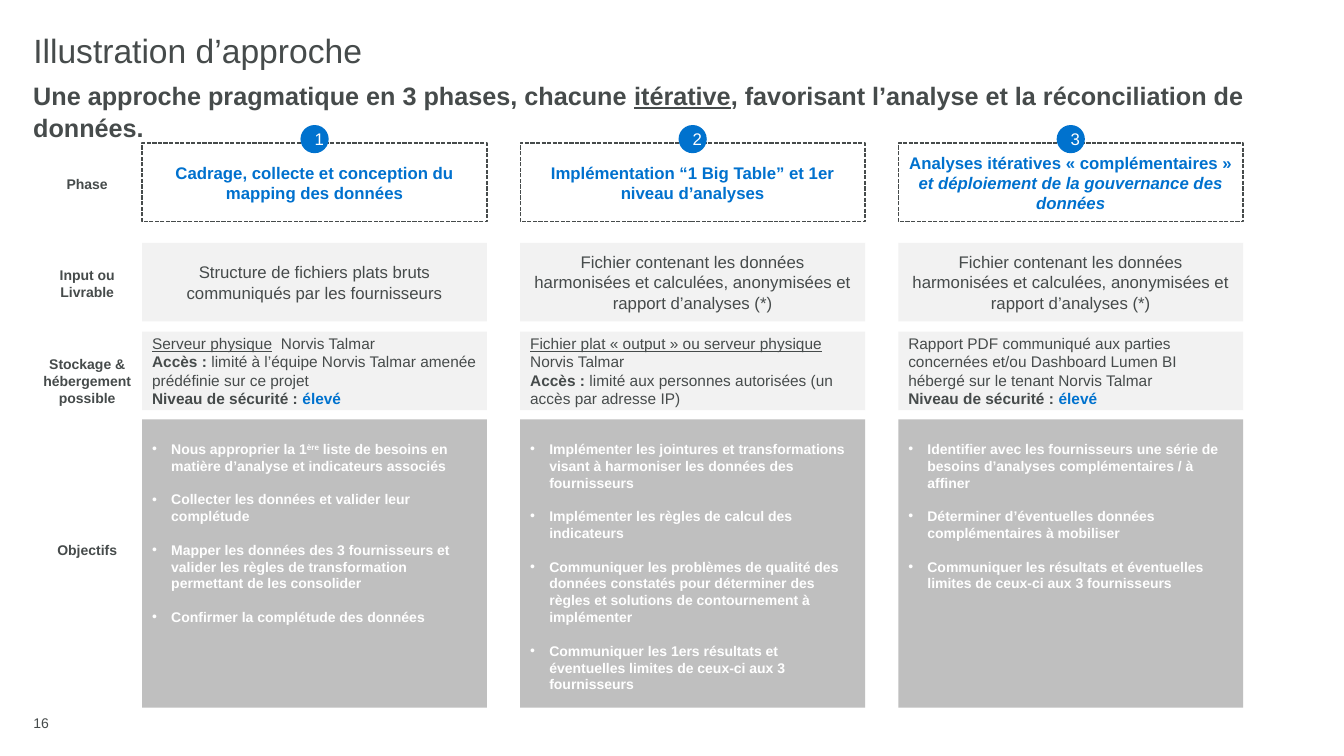
from lxml import etree
from pptx import Presentation
from pptx import util as u
from pptx.dml.color import RGBColor
from pptx.enum import dml, shapes, text
from pptx.oxml.ns import qn

COLORS = {"ink": "464B4B", "phase": "0071CE", "accent": "0072CE", "white": "FFFFFF",
          "light": "F2F2F2", "grey": "BFBFBF"}
CENTER, LEFT = text.PP_ALIGN.CENTER, text.PP_ALIGN.LEFT
TOP, MIDDLE = text.MSO_ANCHOR.TOP, text.MSO_ANCHOR.MIDDLE

COLUMN_LEFT, COLUMN_PITCH, COLUMN_WIDTH = 1.41, 3.75, 3.42
BADGE = 0.28

# Each row: label, top, height, vertical centre of the label
ROWS = {
    "phase": ("Phase", 1.42, 0.78, 1.82),
    "input": ("Input ou Livrable", 2.41, 0.78, 2.81),
    "storage": ("Stockage & hébergement possible", 3.29, 0.78, 3.78),
    "goals": ("Objectifs", 4.16, 2.86, 5.46),
}

# A paragraph is a list of (text, style); style letters:
# b bold, i italic, u underlined, a accent colour, s superscript
SHARED_INPUT = ("Fichier contenant les données harmonisées et calculées, "
                "anonymisées et rapport d’analyses (*)")
SECURITY = [("Niveau de sécurité : ", "b"), ("élevé", "ba")]
PHASES = [
    {
        "phase": [("Cadrage, collecte et conception du mapping des données", "b")],
        "input": "Structure de fichiers plats bruts communiqués par les fournisseurs",
        "storage": [
            [("Serveur physique", "u"), ("  Norvis Talmar", "")],
            [("Accès : ", "b"),
             ("limité à l’équipe Norvis Talmar amenée prédéfinie sur ce projet", "")],
            SECURITY,
        ],
        "goals": [
            [("Nous approprier la 1", "b"), ("ère", "bs"),
             (" liste de besoins en matière d’analyse et indicateurs associés", "b")],
            [("Collecter les données et valider leur complétude", "b")],
            [("Mapper les données des 3 fournisseurs et valider les règles de "
              "transformation permettant de les consolider", "b")],
            [("Confirmer la complétude des données", "b")],
        ],
    },
    {
        "phase": [("Implémentation “1 Big Table” et 1er niveau d’analyses", "b")],
        "input": SHARED_INPUT,
        "storage": [
            [("Fichier plat « output » ou serveur physique", "u"), (" Norvis Talmar", "")],
            [("Accès :", "b"),
             (" limité aux personnes autorisées (un accès par adresse IP)", "")],
        ],
        "goals": [
            [("Implémenter les jointures et transformations visant à harmoniser "
              "les données des fournisseurs", "b")],
            [("Implémenter les règles de calcul des indicateurs", "b")],
            [("Communiquer les problèmes de qualité des données constatés pour déterminer "
              "des règles et solutions de contournement à implémenter", "b")],
            [("Communiquer les 1ers résultats et éventuelles limites de ceux-ci "
              "aux 3 fournisseurs", "b")],
        ],
    },
    {
        "phase": [("Analyses itératives « complémentaires » ", "b"),
                  ("et déploiement de la gouvernance des données", "bi")],
        "input": SHARED_INPUT,
        "storage": [
            [("Rapport PDF communiqué aux parties concernées et/ou Dashboard Lumen BI "
              "hébergé sur le tenant Norvis Talmar", "")],
            SECURITY,
        ],
        "goals": [
            [("Identifier avec les fournisseurs une série de besoins d’analyses "
              "complémentaires / à affiner", "b")],
            [("Déterminer d’éventuelles données complémentaires à mobiliser", "b")],
            [("Communiquer les résultats et éventuelles limites de ceux-ci "
              "aux 3 fournisseurs", "b")],
        ],
    },
]


def rgb(name):
    return RGBColor.from_string(COLORS[name])


def write(shape, paragraphs, size, color="ink", align=LEFT, anchor=MIDDLE, inset=None):
    frame = shape.text_frame
    frame.word_wrap = True
    frame.vertical_anchor = anchor
    if inset is not None:
        frame.margin_left = frame.margin_right = u.Inches(inset)
        frame.margin_top = frame.margin_bottom = u.Inches(inset)
    for index, runs in enumerate(paragraphs):
        paragraph = frame.add_paragraph() if index else frame.paragraphs[0]
        paragraph.alignment = align
        for words, style in runs:
            run = paragraph.add_run()
            run.text = words
            font = run.font
            font.name, font.size = "Arial", u.Pt(size)
            font.bold, font.italic, font.underline = "b" in style, "i" in style, "u" in style
            font.color.rgb = rgb("accent" if "a" in style else color)
            if "s" in style:
                run._r.get_or_add_rPr().set("baseline", "30000")
    return frame


def add_box(slide, left, top, width, height, fill=None, kind=shapes.MSO_SHAPE.RECTANGLE):
    box = slide.shapes.add_shape(kind, *map(u.Inches, (left, top, width, height)))
    box.shadow.inherit = False
    if fill:
        box.fill.solid()
        box.fill.fore_color.rgb = rgb(fill)
        box.line.fill.background()
    else:
        box.fill.background()
        box.line.color.rgb = rgb("ink")
        box.line.width = u.Pt(1)
        box.line.dash_style = dml.MSO_LINE.SQUARE_DOT
    return box


def add_text(slide, left, top, width, height, *args, **options):
    box = slide.shapes.add_textbox(*map(u.Inches, (left, top, width, height)))
    return write(box, *args, **options)


def add_bullet(paragraph):
    properties = paragraph._p.get_or_add_pPr()
    properties.set("marL", str(u.Inches(0.19)))
    properties.set("indent", str(-u.Inches(0.19)))
    font = etree.SubElement(properties, qn("a:buFont"))
    font.set("typeface", "Arial")
    etree.SubElement(properties, qn("a:buChar")).set("char", "•")


def add_heading(slide, left, top):
    title = slide.shapes.title
    title.left, title.top = u.Inches(left), u.Inches(top)
    title.width, title.height = u.Inches(6.18), u.Inches(0.39)
    write(title, [[("Illustration d’approche", "")]], 24, inset=0)
    title.text_frame.paragraphs[0].line_spacing = 0.9

    message = add_text(slide, left, top + 0.45, 12.74, 0.59, [[
        ("Une approche pragmatique en 3 phases, chacune ", "b"),
        ("itérative", "bu"),
        (", favorisant l’analyse et la réconciliation de données.", "b"),
    ]], 18, anchor=TOP, inset=0)
    message.paragraphs[0].line_spacing = 1.05
    message.paragraphs[0].space_after = u.Pt(6)


def add_row_labels(slide, left, width):
    height = 0.6
    for label, _, _, middle in ROWS.values():
        add_text(slide, left, middle - height / 2, width, height,
                 [[(label, "b")]], 10, align=CENTER)


def add_phase(slide, number, phase, left, width):
    def row_box(row, fill=None):
        _, top, height, _ = ROWS[row]
        return add_box(slide, left, top, width, height, fill)

    write(row_box("phase"), [phase["phase"]], 12, "phase", CENTER)
    write(row_box("input", "light"), [[(phase["input"], "")]], 12, align=CENTER)
    write(row_box("storage", "light"), phase["storage"], 11)

    # Objectives, separated by one line of space
    goals = write(row_box("goals", "grey"), phase["goals"], 10, "white", anchor=TOP)
    goals.margin_top = u.Inches(0.21)
    for paragraph in goals.paragraphs:
        paragraph.space_after = u.Pt(12)
        add_bullet(paragraph)

    # Number badge on the top edge
    badge = add_box(slide, left + (width - BADGE) / 2, 1.24, BADGE, BADGE,
                    "accent", shapes.MSO_SHAPE.OVAL)
    write(badge, [[(str(number), "")]], 12, "white", CENTER)


def main():
    deck = Presentation()
    deck.slide_width, deck.slide_height = u.Inches(13.33), u.Inches(7.5)
    slide = deck.slides.add_slide(deck.slide_layouts[5])
    add_heading(slide, 0.33, 0.33)
    add_row_labels(slide, 0.33, 1.07)
    for index, phase in enumerate(PHASES):
        add_phase(slide, index + 1, phase, COLUMN_LEFT + index * COLUMN_PITCH, COLUMN_WIDTH)
    # Page number
    add_text(slide, 0.33, 7.02, 0.98, 0.3, [[("16", "")]], 10, inset=0)
    deck.save("out.pptx")


if __name__ == "__main__":
    main()
